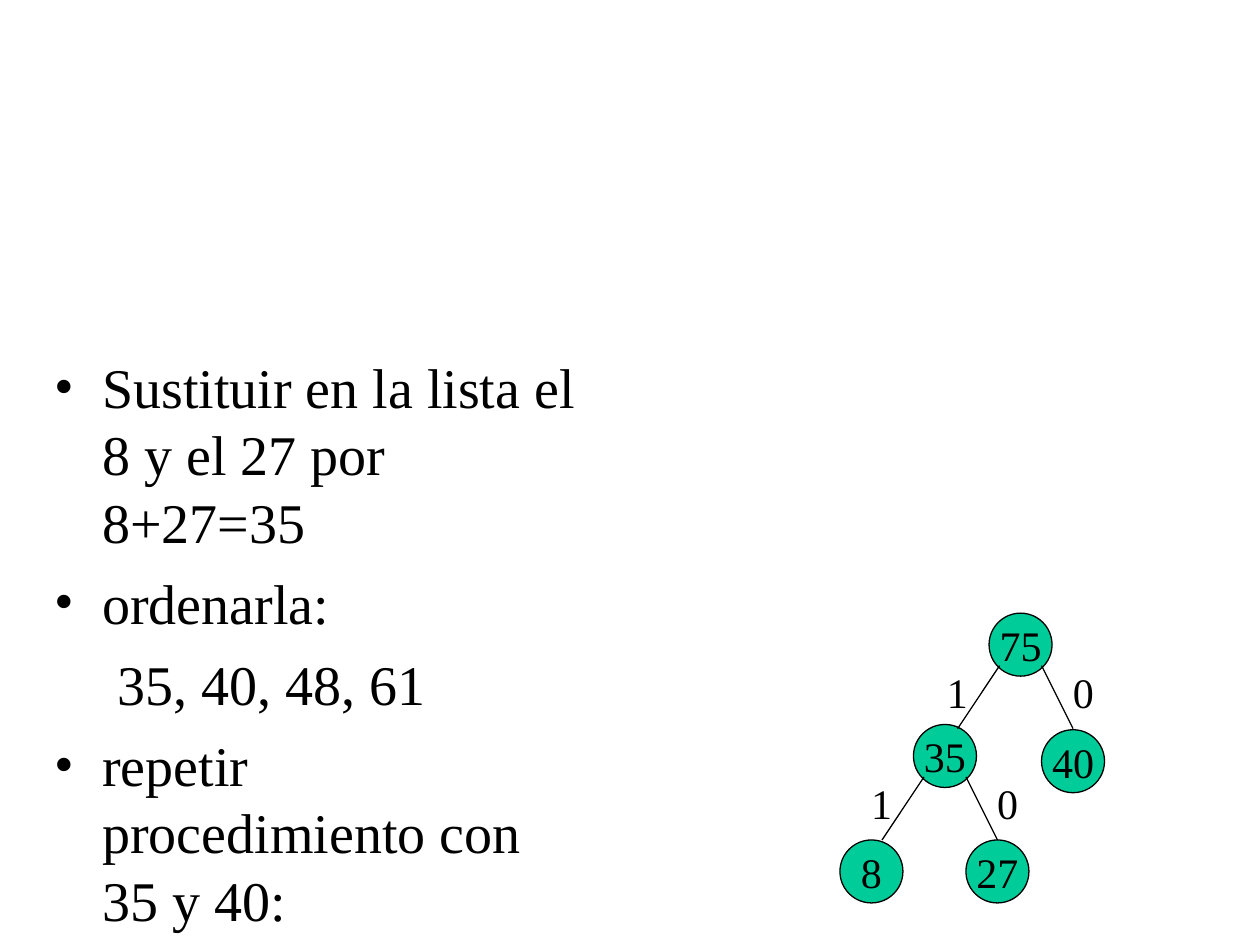
from lxml.etree import SubElement
from pptx import Presentation
from pptx.dml.color import RGBColor
from pptx.enum.shapes import MSO_CONNECTOR as Line, MSO_SHAPE as Shape
from pptx.enum.text import MSO_ANCHOR as Anchor, MSO_AUTO_SIZE as AutoSize, PP_ALIGN as Align
from pptx.oxml.ns import qn
from pptx.util import Inches, Pt

BLACK = RGBColor(0x00, 0x00, 0x00)
GREEN = RGBColor(0x00, 0xCC, 0x99)
COLS, ROWS = 120, 90
NODE = 6  # node diameter in grid cells


class TreeSlide:
    """Draws on one slide; all lengths are columns and rows of a 120 x 90 grid."""

    font, text_size, label_size, line_width = "Times New Roman", 32, 24, 0.75

    def __init__(self, prs):
        self.slide = prs.slides.add_slide(prs.slide_layouts[6])
        self.col = prs.slide_width / COLS
        self.row = prs.slide_height / ROWS

    def place(self, *xy):
        """Turn column, row pairs into slide lengths."""
        return [round(v * (self.row if i % 2 else self.col)) for i, v in enumerate(xy)]

    def add_text(self, p, text, size):
        r = p.add_run()
        r.text = text
        r.font.name, r.font.size = self.font, Pt(size)
        r.font.color.rgb = BLACK

    def body(self, x, y, w, h, items):
        """Add paragraphs given as (text, bulleted) pairs."""
        tf = self.slide.shapes.add_textbox(*self.place(x, y, w, h)).text_frame
        tf.word_wrap = True
        for i, (text, bulleted) in enumerate(items):
            p = tf.add_paragraph() if i else tf.paragraphs[0]
            p.space_before = Pt(8 if i else 0)
            margin, indent = (0.38, -0.38) if bulleted else (0.81, -0.31)
            pPr = p._p.get_or_add_pPr()
            pPr.set("marL", str(Inches(margin)))
            pPr.set("indent", str(Inches(indent)))
            if bulleted:
                SubElement(pPr, qn("a:buFont"), typeface=self.font)
                SubElement(pPr, qn("a:buChar"), char="•")
            else:
                SubElement(pPr, qn("a:buNone"))
            self.add_text(p, text, self.text_size)

    def node(self, x, y, text):
        sp = self.slide.shapes.add_shape(Shape.OVAL, *self.place(x, y, NODE, NODE))
        sp.shadow.inherit = False
        sp.fill.solid()
        sp.fill.fore_color.rgb = GREEN
        sp.line.color.rgb = BLACK
        sp.line.width = Pt(self.line_width)
        tf = sp.text_frame
        tf.word_wrap = False
        tf.vertical_anchor = Anchor.MIDDLE
        tf.paragraphs[0].alignment = Align.CENTER
        self.add_text(tf.paragraphs[0], text, self.label_size)

    def edge(self, *ends):
        line = self.slide.shapes.add_connector(Line.STRAIGHT, *self.place(*ends))
        line.line.color.rgb = BLACK
        line.line.width = Pt(self.line_width)
        SubElement(line._element.spPr, qn("a:effectLst"))

    def label(self, x, y, text):
        tf = self.slide.shapes.add_textbox(*self.place(x, y, 4.3, 6)).text_frame
        tf.word_wrap = False
        tf.auto_size = AutoSize.SHAPE_TO_FIT_TEXT
        self.add_text(tf.paragraphs[0], text, self.label_size)

    def branches(self, x, y):
        """Add the two edges below the node at x, y, and their code bits."""
        for start, end in ((1, -3), (5, 8)):
            self.edge(x + start, y + 5, x + end, y + 11)
        for offset, bit in ((-5.2, "1"), (6.8, "0")):
            self.label(x + offset, y + 4.5, bit)


def main():
    prs = Presentation()
    prs.slide_width, prs.slide_height = Inches(10), Inches(7.5)
    s = TreeSlide(prs)
    s.body(4, 33, 53, 54, [
        ("Sustituir en la lista el 8 y el 27 por 8+27=35", True),
        ("ordenarla:", True),
        ("35, 40, 48, 61", False),
        ("repetir procedimiento con 35 y 40:", True),
    ])
    subtrees = (
        ((87, 69, "35"), (80, 80, "8"), (92, 80, "27")),
        ((94.2, 58.4, "75"), (99.2, 69.5, "40")),
    )
    for nodes in subtrees:
        for node in nodes:
            s.node(*node)
        s.branches(*nodes[0][:2])
    prs.save("out.pptx")


if __name__ == "__main__":
    main()
